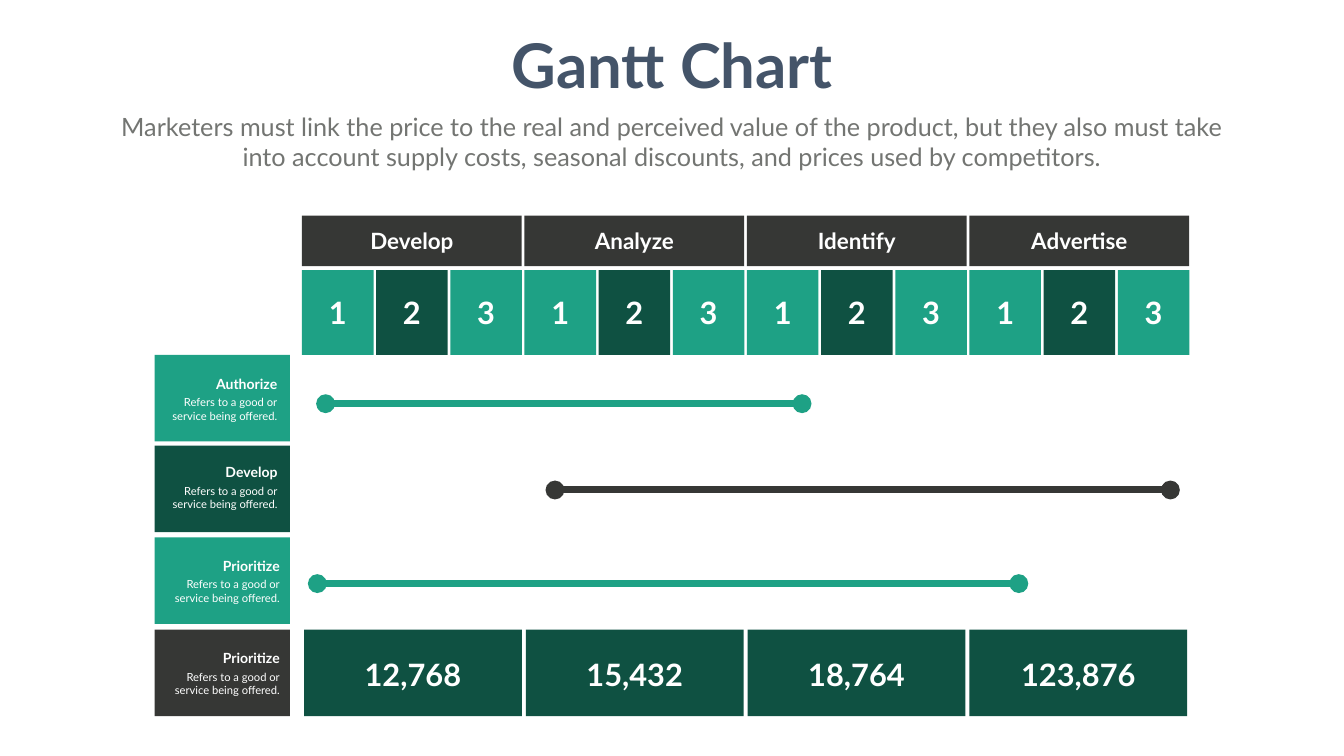
from pptx import Presentation
from pptx.dml.color import RGBColor
from pptx.enum.shapes import MSO_CONNECTOR, MSO_SHAPE
from pptx.enum.text import MSO_AUTO_SIZE, PP_ALIGN
from pptx.oxml.ns import qn
from pptx.util import Pt
from lxml import etree

RECTANGLE, OVAL = MSO_SHAPE.RECTANGLE, MSO_SHAPE.OVAL
STRAIGHT = MSO_CONNECTOR.STRAIGHT
FIT = MSO_AUTO_SIZE.SHAPE_TO_FIT_TEXT
CENTER, RIGHT = PP_ALIGN.CENTER, PP_ALIGN.RIGHT

COLORS = {
    "title": "445469",
    "subtitle": "737572",
    "green": "1EA185",
    "forest": "0F5142",
    "dark": "363735",
    "white": "FFFFFF",
}

SUBTITLE = ("Marketers must link the price to the real and perceived value of the product, "
            "but they also must take into account supply costs, seasonal discounts, "
            "and prices used by competitors.")
DETAIL = ("Refers to a good or", "service being offered.")

# name, name width, total, total width
PHASES = [
    ("Develop", 135.4, "12,768", 153.4),
    ("Analyze", 128.9, "15,432", 153.4),
    ("Identify", 126.7, "18,764", 153.4),
    ("Advertise", 153.4, "123,876", 179.3),
]
MONTHS = [("1", "green"), ("2", "forest"), ("3", "green")]
# name, name width, color, row top, name top, text right edge
TASKS = [
    ("Authorize", 103, "green", 506.9, 532.8, 403.2),
    ("Develop", 90, "forest", 636.5, 658.8, 403.5),
    ("Prioritize", 97.2, "green", 767.5, 792.7, 406.8),
    ("Prioritize", 97.2, "dark", 899.3, 924.5, 406.8),
]
# start, end, middle, color
BARS = [
    (465, 1145.5, 576.7, "green"),
    (792.6, 1671.6, 700, "dark"),
    (453.2, 1455.1, 833.7, "green"),
]

GRID_LEFT, PHASE_STEP, PHASE_WIDTH = 431.3, 317.76, 313.9
MONTH_STEP, MONTH_WIDTH = PHASE_STEP / 3, 102.2
TOTAL_LEFT, TOTAL_STEP, TOTAL_WIDTH = 434.2, 316.8, 311
ROW_HEIGHT, DETAIL_WIDTH, DOT = 123.8, 167.8, 27


class SlideBuilder:
    """Holds the style and the current slide and draws each kind of element."""

    def __init__(self, slide, font="Lato"):
        self.slide = slide
        self.font = font

    def color(self, name):
        return RGBColor.from_string(COLORS[name])

    def shape(self, kind, left, top, width, height, color):
        shape = self.slide.shapes.add_shape(kind, Pt(left), Pt(top), Pt(width), Pt(height))
        shape.shadow.inherit = False
        shape.fill.solid()
        shape.fill.fore_color.rgb = self.color(color)
        shape.line.fill.background()

    def text(self, lines, left, top, width, height, size, color="white",
             bold=True, align=CENTER, wrap=False):
        box = self.slide.shapes.add_textbox(Pt(left), Pt(top), Pt(width), Pt(height))
        frame = box.text_frame
        frame.text = "\n".join(lines)
        frame.word_wrap = wrap
        frame.auto_size = FIT
        for para in frame.paragraphs:
            para.alignment = align
            for span in para.runs:
                span.font.name = self.font
                span.font.size = Pt(size)
                span.font.bold = bold
                span.font.color.rgb = self.color(color)

    def label(self, text, center, top, width, height, size):
        self.text([text], center - width / 2, top, width, height, size)

    def bar(self, start, end, middle, color):
        line = self.slide.shapes.add_connector(STRAIGHT, Pt(start), Pt(middle), Pt(end), Pt(middle))
        line.line.width = Pt(10)
        line.line.color.rgb = self.color(color)
        etree.SubElement(line._element.spPr, qn("a:effectLst"))
        for center in (start, end):
            self.shape(OVAL, center - DOT / 2, middle - DOT / 2, DOT, DOT, color)

    def phase(self, index, name, name_width, total, total_width):
        left = GRID_LEFT + index * PHASE_STEP
        self.shape(RECTANGLE, left, 308.2, PHASE_WIDTH, 72, "dark")
        self.label(name, left + PHASE_WIDTH / 2, 320.4, name_width, 46, 32)
        for number, (month, color) in enumerate(MONTHS):
            month_left = left + number * MONTH_STEP
            self.shape(RECTANGLE, month_left, 385.9, MONTH_WIDTH, 121, color)
            self.label(month, month_left + MONTH_WIDTH / 2, 416.2, 40.3, 60.5, 44)
        total_left = TOTAL_LEFT + index * TOTAL_STEP
        self.shape(RECTANGLE, total_left, 899.3, TOTAL_WIDTH, ROW_HEIGHT, "forest")
        self.label(total, total_left + TOTAL_WIDTH / 2, 933.8, total_width, 60.5, 44)

    def task(self, name, name_width, color, top, name_top, right):
        self.shape(RECTANGLE, 221, top, 193, ROW_HEIGHT, color)
        self.text([name], right - name_width, name_top, name_width, 31.7, 20, align=RIGHT)
        self.text(DETAIL, right - DETAIL_WIDTH, name_top + 28.9, DETAIL_WIDTH, 46, 16,
                  bold=False, align=RIGHT, wrap=True)


def main():
    deck = Presentation()
    deck.slide_width, deck.slide_height = Pt(1919.5), Pt(1080)
    page = SlideBuilder(deck.slides.add_slide(deck.slide_layouts[6]))
    page.text(["Gantt Chart"], 717.8, 35.3, 484.6, 113.8, 88, "title")
    page.text([SUBTITLE], 159.8, 154.8, 1599.1, 94.3, 36, "subtitle", bold=False, wrap=True)
    for bar in BARS:
        page.bar(*bar)
    for index, phase in enumerate(PHASES):
        page.phase(index, *phase)
    for task in TASKS:
        page.task(*task)
    deck.save("out.pptx")


if __name__ == "__main__":
    main()
